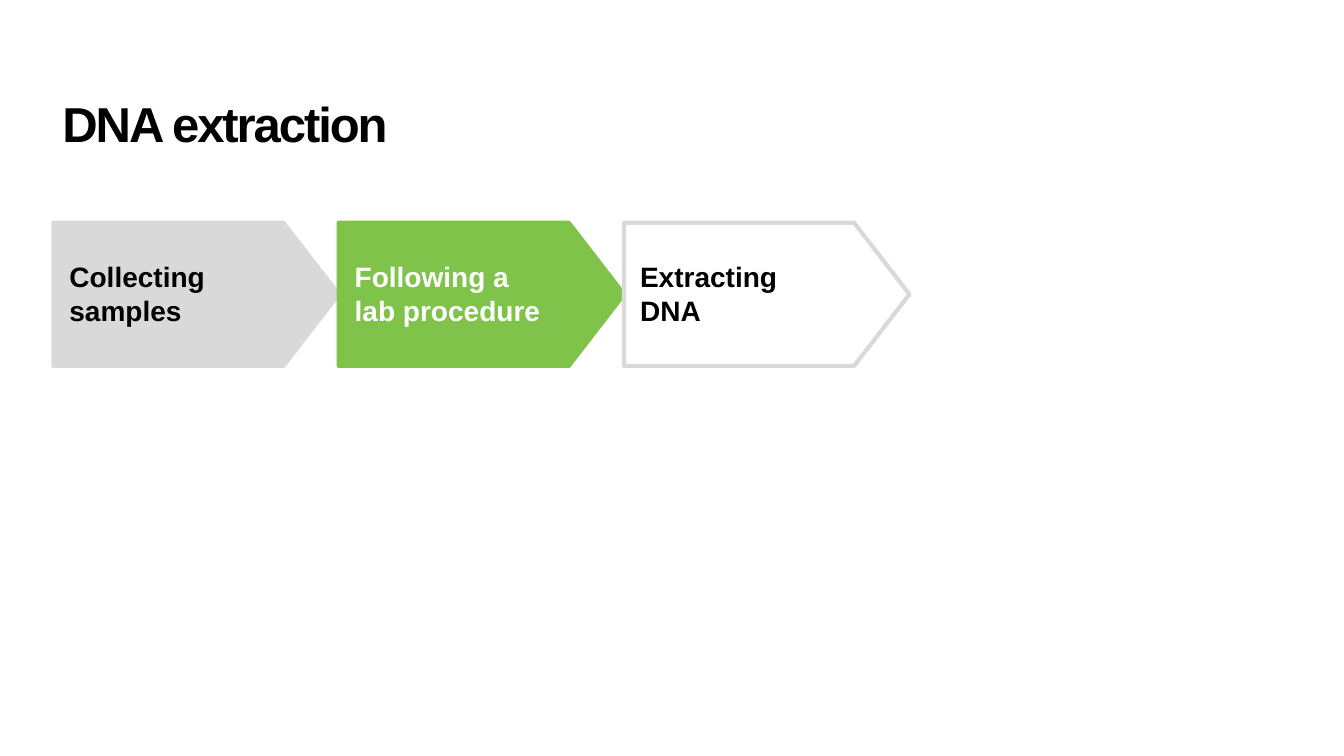
"""Build the DNA extraction slide: a title above three process steps."""
from pptx import Presentation
from pptx.dml.color import RGBColor
from pptx.enum.shapes import MSO_SHAPE
from pptx.enum.text import MSO_ANCHOR, MSO_AUTO_SIZE, PP_ALIGN
from pptx.util import Inches, Pt

PENTAGON = MSO_SHAPE.PENTAGON
TOP = MSO_ANCHOR.TOP
LEFT = PP_ALIGN.LEFT
FIT_SHAPE = MSO_AUTO_SIZE.SHAPE_TO_FIT_TEXT

THEME = {
    "font": "Arial",
    "title_size": 35,
    "step_size": 20,
    "black": RGBColor(0x00, 0x00, 0x00),
    "white": RGBColor(0xFF, 0xFF, 0xFF),
    "grey": RGBColor(0xD9, 0xD9, 0xD9),
    "green": RGBColor(0x80, 0xC3, 0x4B),
}
STEP_LEFT, STEP_TOP, STEP_WIDTH, STEP_HEIGHT = 0.53, 2.21, 2.83, 1.42
LABEL_INDENT, LABEL_TOP, LABEL_HEIGHT = 0.06, 2.53, 0.77
STEPS = [
    (["Collecting samples"], "grey", "grey", "black", 2.36),
    (["Following a lab procedure"], "green", "green", "white", 2.13),
    (["Extracting", "DNA"], None, "grey", "black", 2.36),
]


def add_label(slide, box, lines, size, color):
    """Add a bold, left-aligned text box and return it."""
    label = slide.shapes.add_textbox(*(Inches(length) for length in box))
    frame = label.text_frame
    frame.word_wrap = True
    frame.vertical_anchor = TOP
    for index, line in enumerate(lines):
        paragraph = frame.add_paragraph() if index else frame.paragraphs[0]
        paragraph.alignment = LEFT
        run = paragraph.add_run()
        run.text = line
        run.font.name = THEME["font"]
        run.font.size = Pt(THEME[size])
        run.font.bold = True
        run.font.color.rgb = THEME[color]
    return label


deck = Presentation()
deck.slide_width, deck.slide_height = Inches(13.33), Inches(7.5)
slide = deck.slides.add_slide(deck.slide_layouts[6])

title = add_label(slide, (0.52, 1.04, 12.29, 1.04), ["DNA extraction"], "title_size", "black")
title.text_frame.margin_top = 0
heading = title.text_frame.paragraphs[0]
heading.line_spacing = 0.8
heading.runs[0].font._element.set("spc", "-150")

for column, (_, fill, outline, _, _) in enumerate(STEPS):
    arrow = slide.shapes.add_shape(
        PENTAGON,
        Inches(STEP_LEFT + column * STEP_WIDTH), Inches(STEP_TOP),
        Inches(STEP_WIDTH), Inches(STEP_HEIGHT),
    )
    arrow.adjustments[0] = 0.386
    arrow.shadow.inherit = False
    if fill:
        arrow.fill.solid()
        arrow.fill.fore_color.rgb = THEME[fill]
    else:
        arrow.fill.background()
    arrow.line.color.rgb = THEME[outline]
    arrow.line.width = Pt(3)

for column, (lines, _, _, color, width) in enumerate(STEPS):
    label_left = STEP_LEFT + LABEL_INDENT + column * STEP_WIDTH
    step_label = add_label(
        slide, (label_left, LABEL_TOP, width, LABEL_HEIGHT), lines, "step_size", color
    )
    step_label.text_frame.auto_size = FIT_SHAPE

deck.save("out.pptx")
